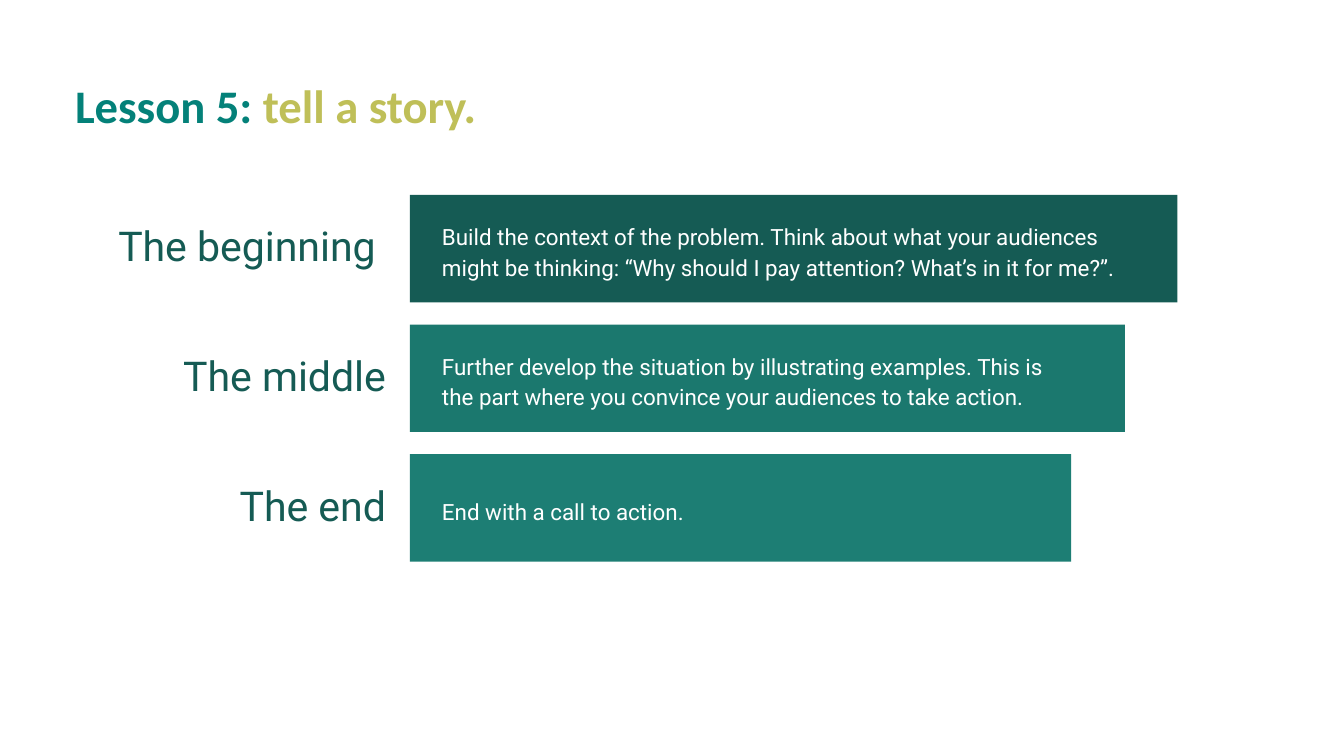
from pptx import Presentation
from pptx.dml.color import RGBColor
from pptx.enum.shapes import MSO_SHAPE
from pptx.enum.text import MSO_ANCHOR, PP_ALIGN
from pptx.util import Inches, Pt

RECTANGLE = MSO_SHAPE.RECTANGLE
TOP, MIDDLE = MSO_ANCHOR.TOP, MSO_ANCHOR.MIDDLE
LEFT, RIGHT = PP_ALIGN.LEFT, PP_ALIGN.RIGHT

COLORS = {
    "title": "048179",
    "accent": "BFBF58",
    "dark": "155B54",
    "medium": "1B786E",
    "light": "1D7E74",
    "white": "FFFFFF",
}

# label, explanation, bar colour, bar width, explanation width
STAGES = [
    ("The beginning ",
     "Build the context of the problem. Think about what your audiences might "
     "be thinking: “Why should I pay attention? What’s in it for me?”.",
     "dark", 5.71, 5.21),
    ("The middle",
     "Further develop the situation by illustrating examples. This is the part "
     "where you convince your audiences to take action.",
     "medium", 5.32, 4.78),
    ("The end", "End with a call to action.", "light", 4.92, 4.21),
]
FIRST_TOP, LAST_TOP, BAR_HEIGHT = 1.45, 3.38, 0.8
ROW_STEP = (LAST_TOP - FIRST_TOP) / (len(STAGES) - 1)
LABEL_LEFT, LABEL_WIDTH, LABEL_HEIGHT = 0.78, 2.19, 0.69
BAR_LEFT, EXPLANATION_LEFT, EXPLANATION_HEIGHT = 3.05, 3.19, 0.63
EXPLANATION_DROP = 0.01


def rgb(color):
    return RGBColor.from_string(COLORS[color])


def add_run(paragraph, text, *, size, color, font="Roboto", bold=False):
    run = paragraph.add_run()
    run.text = text
    run.font.name = font
    run.font.size = Pt(size)
    run.font.bold = bold
    run.font.color.rgb = rgb(color)


class StorySlide:
    """Holds the slide and the style of its elements."""

    def __init__(self, slide):
        self.slide = slide

    def text(self, shapes, box, runs, *, align=LEFT, anchor=MIDDLE,
             spacing=None, inset=0.05, **style):
        """Add a one-paragraph text box; runs are (text, colour) pairs."""
        frame = shapes.add_textbox(*map(Inches, box)).text_frame
        frame.word_wrap = True
        frame.vertical_anchor = anchor
        frame.margin_left = frame.margin_right = Inches(0.1)
        frame.margin_top = frame.margin_bottom = Inches(inset)
        paragraph = frame.paragraphs[0]
        paragraph.alignment = align
        paragraph.line_spacing = spacing
        for text, color in runs:
            add_run(paragraph, text, color=color, **style)

    def title(self, runs):
        self.text(self.slide.shapes, (0.46, 0.47, 9.15, 0.62), runs,
                  anchor=TOP, inset=0.1, size=25, font="Calibri", bold=True)

    def bar(self, shapes, box, color):
        bar = shapes.add_shape(RECTANGLE, *map(Inches, box))
        bar.shadow.inherit = False
        bar.fill.solid()
        bar.fill.fore_color.rgb = rgb(color)
        bar.line.fill.background()

    def stage(self, top, label, explanation, color, bar_width, text_width):
        shapes = self.slide.shapes.add_group_shape().shapes
        middle = top + BAR_HEIGHT / 2
        self.text(shapes, (LABEL_LEFT, middle - LABEL_HEIGHT / 2,
                           LABEL_WIDTH, LABEL_HEIGHT),
                  [(label, "dark")], align=RIGHT, spacing=0.9, size=22)
        self.bar(shapes, (BAR_LEFT, top, bar_width, BAR_HEIGHT), color)
        explanation_top = middle - EXPLANATION_HEIGHT / 2 + EXPLANATION_DROP
        self.text(shapes, (EXPLANATION_LEFT, explanation_top,
                           text_width, EXPLANATION_HEIGHT),
                  [(explanation, "white")], spacing=1.15, size=12)


def main():
    presentation = Presentation()
    presentation.slide_width = Inches(10)
    presentation.slide_height = Inches(10 * 9 / 16)
    blank = presentation.slide_layouts[6]
    story = StorySlide(presentation.slides.add_slide(blank))

    story.title([("Lesson 5: ", "title"), ("tell a story.", "accent")])
    for row, stage in enumerate(STAGES):
        story.stage(FIRST_TOP + row * ROW_STEP, *stage)

    presentation.save("out.pptx")


if __name__ == "__main__":
    main()
